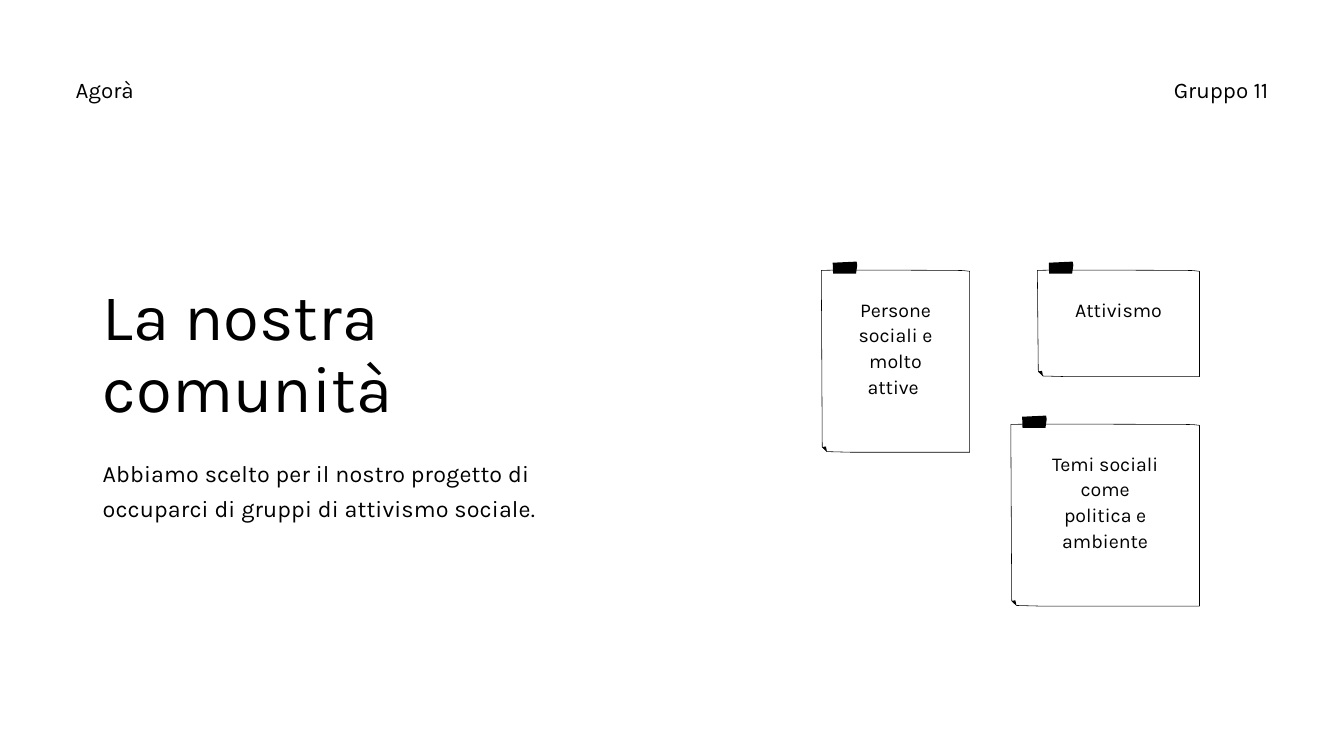
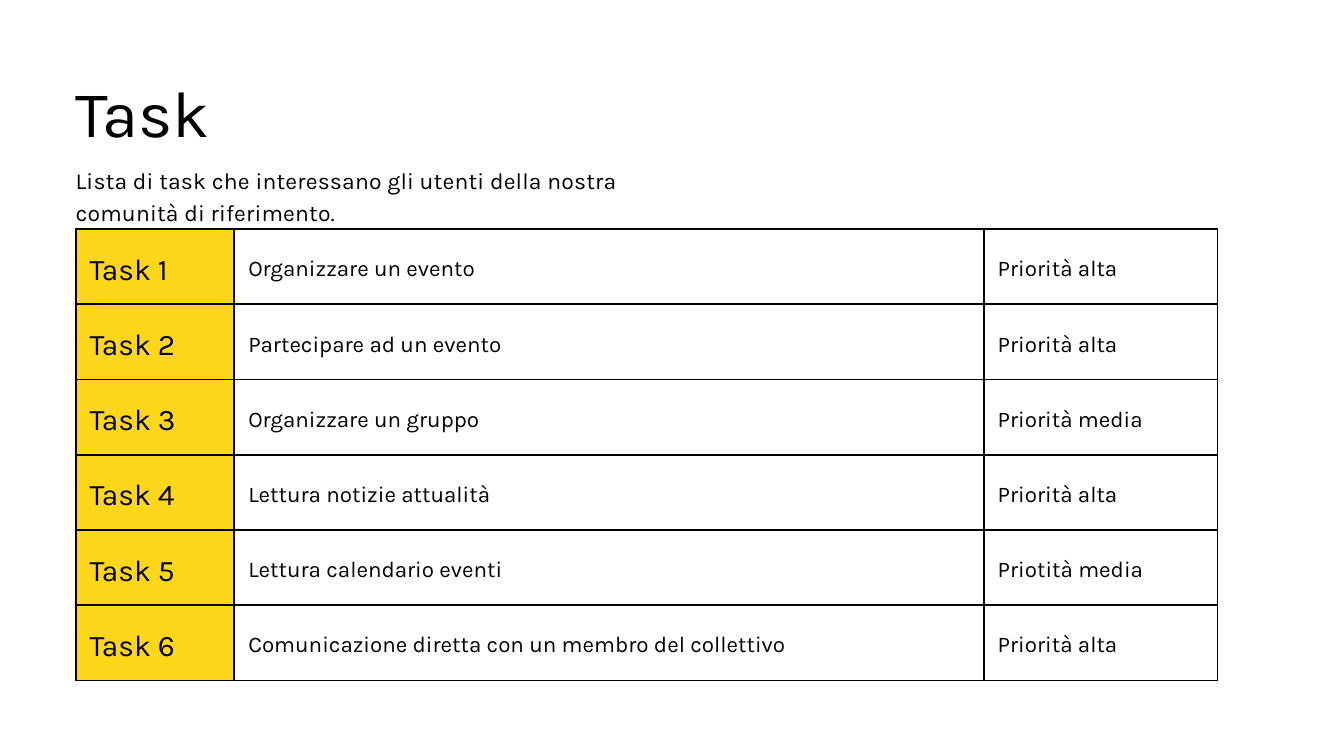
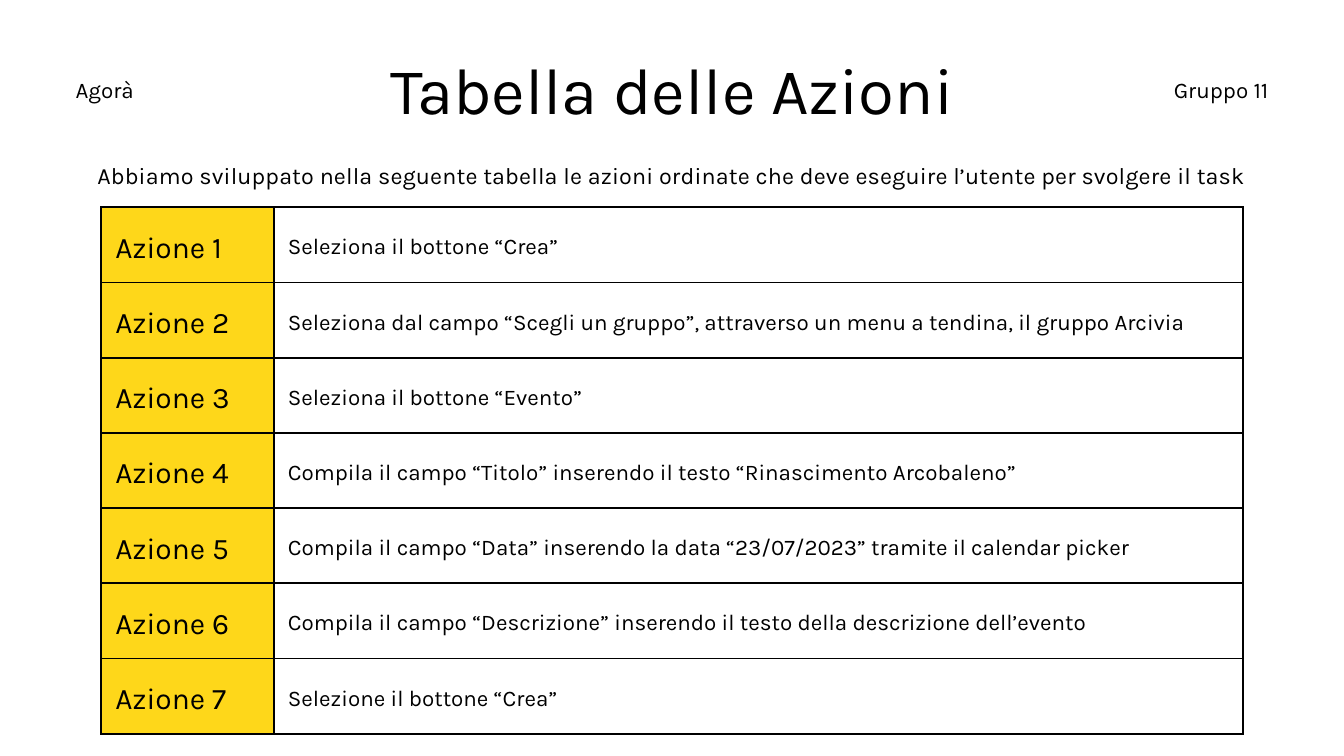
from pptx import Presentation
from pptx.dml.color import RGBColor
from pptx.enum.text import MSO_ANCHOR, MSO_AUTO_SIZE, PP_ALIGN
from pptx.oxml import parse_xml
from pptx.oxml.ns import nsdecls
from pptx.util import Pt

COLORS = {"ink": "000000", "paper": "FFFFFF", "accent": "FED71A"}
FONT = "Karla"
WIDTH, HEIGHT = 1440, 810
MARGIN = 81
ROW_HEIGHT = 80.6
CELL_INSET = 15
BORDER = 2.25


def color(name):
    return RGBColor.from_string(COLORS[name])


class Deck:
    def __init__(self):
        self.prs = Presentation()
        self.prs.slide_width, self.prs.slide_height = Pt(WIDTH), Pt(HEIGHT)
        self.s = None

    def slide(self):
        self.s = self.prs.slides.add_slide(self.prs.slide_layouts[6])
        self.s.background.fill.solid()
        self.s.background.fill.fore_color.rgb = color("paper")

    def add_text(self, tf, text, size, leading, align=PP_ALIGN.LEFT, tracking=0):
        p = tf.paragraphs[0]
        p.alignment, p.line_spacing = align, Pt(leading)
        r = p.add_run()
        r.text = text
        r.font.name, r.font.size = FONT, Pt(size)
        r.font.color.rgb = color("ink")
        if tracking:
            r._r.get_or_add_rPr().set("spc", str(tracking))

    def text(self, x, y, w, h, text, size, leading, align=PP_ALIGN.LEFT, tracking=0, parent=None):
        tf = (parent or self.s).shapes.add_textbox(Pt(x), Pt(y), Pt(w), Pt(h)).text_frame
        tf.word_wrap = True
        tf.auto_size = MSO_AUTO_SIZE.SHAPE_TO_FIT_TEXT
        tf.margin_left = tf.margin_right = tf.margin_top = tf.margin_bottom = 0
        self.add_text(tf, text, size, leading, align, tracking)

    def title(self, x, y, w, h, text, align=PP_ALIGN.LEFT):
        self.text(x, y, w, h, text, 70, 77, align)

    def intro(self, x, y, w, h, text, size=25, leading=37.5, align=PP_ALIGN.LEFT):
        self.text(x, y, w, h, text, size, leading, align, tracking=20)

    def header(self):
        w = 310
        self.text(MARGIN, 81, w, 29, "Agorà", 24, 28.8)
        self.text(WIDTH - MARGIN - w, 81, w, 29, "Gruppo 11", 24, 28.8, PP_ALIGN.RIGHT)

    def outline(self, group, x, y, points, fill, line=None):
        (x0, y0), *rest = [(Pt(x + dx), Pt(y + dy)) for dx, dy in points]
        builder = group.shapes.build_freeform(x0, y0)
        builder.add_line_segments(rest, close=True)
        sp = builder.convert_to_shape()
        sp.shadow.inherit = False
        sp.fill.solid()
        sp.fill.fore_color.rgb = color(fill)
        if line:
            sp.line.color.rgb = color("ink")
            sp.line.width = Pt(line)
        else:
            sp.line.fill.background()

    def note(self, x, y, w, h, text_h, text):
        group = self.s.shapes.add_group_shape()
        sheet = [(0, 0.7), (25, 0.3), (w - 20, 0.7), (w - 7, 0.9), (w, 1.7),
                 (w, h), (33, h), (6, h - 0.7), (1, h - 5.6), (0.6, h * 0.6)]
        fold = [(1, h - 5.6), (5, h - 6.2), (6, h - 0.7)]
        tape = [(12.2, -7.5), (37.8, -8.7), (38.5, -5), (37.2, 4.3), (12.6, 4.3)]
        self.outline(group, x, y, sheet, "paper", 0.6)
        self.outline(group, x, y, fold, "ink")
        self.outline(group, x, y, tape, "ink")
        text_w = w * 0.585
        self.text(x + (w - text_w) / 2, y + 27.4, text_w, text_h, text,
                  21, 27.5, PP_ALIGN.CENTER, parent=group)

    def cell(self, cell, text, heading):
        if heading:
            cell.fill.solid()
            cell.fill.fore_color.rgb = color("accent")
        else:
            cell.fill.background()
        cell.vertical_anchor = MSO_ANCHOR.MIDDLE
        cell.margin_left = cell.margin_right = Pt(CELL_INSET)
        cell.margin_top = cell.margin_bottom = Pt(CELL_INSET)
        size = 32 if heading else 24
        self.add_text(cell.text_frame, text, size, size * 1.4)
        tcPr = cell._tc.get_or_add_tcPr()
        for i, side in enumerate(("lnL", "lnR", "lnT", "lnB")):
            tcPr.insert(i, parse_xml(
                f'<a:{side} {nsdecls("a")} w="{Pt(BORDER)}"><a:solidFill>'
                f'<a:srgbClr val="{COLORS["ink"]}"/></a:solidFill></a:{side}>'))

    def table(self, x, y, widths, label, rows):
        frame = self.s.shapes.add_table(len(rows), len(widths), Pt(x), Pt(y),
                                        Pt(sum(widths)), Pt(ROW_HEIGHT * len(rows)))
        table = frame.table
        table.first_row = table.horz_banding = False
        for column, width in zip(table.columns, widths):
            column.width = Pt(width)
        for i, row in enumerate(rows):
            table.rows[i].height = Pt(ROW_HEIGHT)
            for j, text in enumerate((f"{label} {i + 1}", *row)):
                self.cell(table.cell(i, j), text, heading=j == 0)


def community(deck):
    deck.slide()
    deck.header()
    deck.title(110, 301.7, 546, 156, "La nostra comunità")
    deck.intro(110, 484, 546, 71,
               "Abbiamo scelto per il nostro progetto di occuparci di gruppi di attivismo sociale.")
    deck.note(880, 289, 159, 195.6, 107, "Persone sociali e molto attive ")
    deck.note(1111.5, 289, 173.7, 114.6, 27, "Attivismo")
    deck.note(1083, 454, 202.2, 195.4, 107, "Temi sociali come politica e ambiente")


def tasks(deck):
    deck.slide()
    deck.title(MARGIN, 84, 639, 80, "Task")
    deck.intro(MARGIN, 173, 639, 66,
               "Lista di task che interessano gli utenti della nostra comunità di riferimento.",
               24.6, 34.5)
    deck.table(MARGIN, 245.5, (170, 803, 250.5), "Task", [
        ("Organizzare un evento", "Priorità alta"),
        ("Partecipare ad un evento", "Priorità alta"),
        ("Organizzare un gruppo", "Priorità media"),
        ("Lettura notizie attualità", "Priorità alta"),
        ("Lettura calendario eventi", "Priotità media"),
        ("Comunicazione diretta con un membro del collettivo", "Priorità alta"),
    ])


def actions(deck):
    deck.slide()
    steps = [
        "Seleziona il bottone “Crea”",
        "Seleziona dal campo “Scegli un gruppo”, attraverso un menu a tendina, il gruppo Arcivia",
        "Seleziona il bottone “Evento”",
        "Compila il campo “Titolo” inserendo il testo “Rinascimento Arcobaleno”",
        "Compila il campo “Data” inserendo la data “23/07/2023” tramite il calendar picker",
        "Compila il campo “Descrizione” inserendo il testo della descrizione dell’evento",
        "Selezione il bottone “Crea”",
    ]
    deck.table(108.5, 222, (185, 1038.5), "Azione", [(step,) for step in steps])
    deck.header()
    deck.title(0, 60, WIDTH, 80, "Tabella delle Azioni", PP_ALIGN.CENTER)
    deck.intro(0, 165.6, WIDTH, 34,
               "Abbiamo sviluppato nella seguente tabella le azioni ordinate "
               "che deve eseguire l’utente per svolgere il task", align=PP_ALIGN.CENTER)


def main():
    deck = Deck()
    community(deck)
    tasks(deck)
    actions(deck)
    deck.prs.save("out.pptx")


if __name__ == "__main__":
    main()
